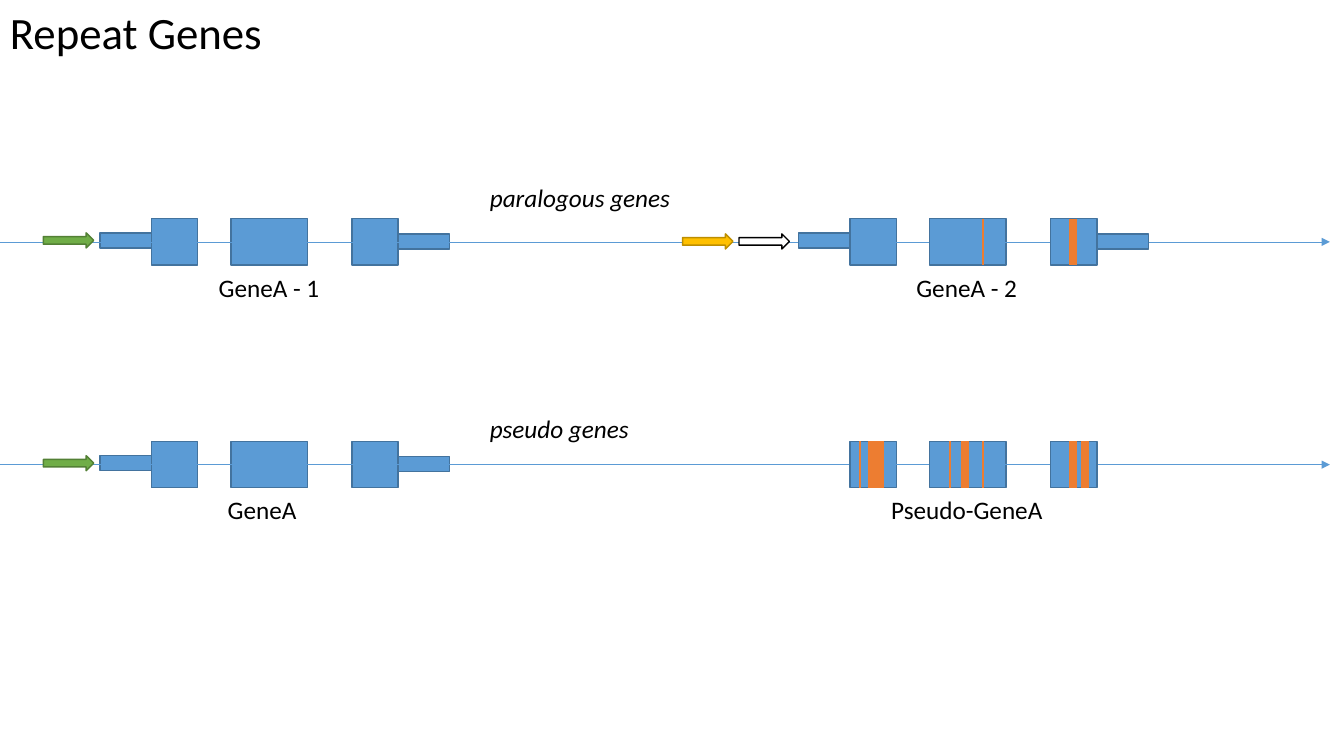
from dataclasses import dataclass

from lxml import etree
from pptx import Presentation
from pptx.dml.color import RGBColor
from pptx.enum.shapes import MSO_CONNECTOR, MSO_SHAPE
from pptx.enum.text import MSO_AUTO_SIZE
from pptx.oxml.ns import qn
from pptx.util import Inches, Pt

RECT = MSO_SHAPE.RECTANGLE
ARROW = MSO_SHAPE.RIGHT_ARROW
STRAIGHT = MSO_CONNECTOR.STRAIGHT
FIT_SHAPE = MSO_AUTO_SIZE.SHAPE_TO_FIT_TEXT
LEFT_SIDE = 1


@dataclass(frozen=True)
class Theme:
    """Colours, font and type sizes of the slide."""
    font: str = "Calibri"
    title: int = 32
    label: int = 18
    text: str = "000000"
    gene: tuple = ("5B9BD5", "43739E")
    mutation: str = "ED7D31"
    green: tuple = ("70AD47", "538035")
    yellow: tuple = ("FFC000", "BD8E00")
    white: tuple = ("FFFFFF", "000000")


THEME = Theme()
EXON_H, BAR_H, UTR_W, ARROW_W = 0.46, 0.15, 0.51, 0.5
EXONS = ((0.51, 0.46), (1.3, 0.76), (2.5, 0.46))
INTRONS = ((0.94, 1.6), (1.83, 2.5))
LEFT_GENE, RIGHT_GENE, AXIS_END = 0.99, 7.92, 13.19
THIN, THICK = 1.5, 6


def add_text(s, text, left, top, width, height, size, italic=False):
    """Add a one-line text box."""
    box = s.shapes.add_textbox(*map(Inches, (left, top, width, height)))
    tf = box.text_frame
    tf.text = text
    tf.word_wrap = False
    tf.auto_size = FIT_SHAPE
    font = tf.paragraphs[0].runs[0].font
    font.name, font.size = THEME.font, Pt(size)
    font.color.rgb = RGBColor.from_string(THEME.text)
    if italic:
        font.italic = True


def add_block(shapes, kind, left, top, width, height, colours):
    """Add a filled and outlined preset shape."""
    block = shapes.add_shape(kind, *map(Inches, (left, top, width, height)))
    fill, line = map(RGBColor.from_string, colours)
    block.shadow.inherit = False
    block.fill.solid()
    block.fill.fore_color.rgb = fill
    block.line.color.rgb = line
    block.line.width = Pt(1)
    return block


def add_line(shapes, x1, y1, x2, y2, colour, width):
    """Add a plain straight connector."""
    line = shapes.add_connector(STRAIGHT, *map(Inches, (x1, y1, x2, y2)))
    line.line.color.rgb = RGBColor.from_string(colour)
    line.line.width = Pt(width)
    etree.SubElement(line._element.spPr, qn("a:effectLst"))
    return line


def add_axis(s, y):
    """Draw the chromosome line with its arrowhead."""
    axis = add_line(s.shapes, 0, y, AXIS_END, y, THEME.gene[0], 0.5)
    etree.SubElement(axis.line._get_or_add_ln(), qn("a:tailEnd"), type="triangle")


def add_gene(s, left, y, has_utr=True):
    """Draw three exons joined by introns, with optional end regions."""
    shapes = s.shapes.add_group_shape().shapes
    if has_utr:
        add_block(shapes, RECT, left, y - 0.09, UTR_W, BAR_H, THEME.gene)
    for i, (x, width) in enumerate(EXONS):
        if i:
            start, end = INTRONS[i - 1]
            intron = add_line(shapes, left + start, y, left + end, y, THEME.gene[0], 0.5)
        exon = add_block(shapes, RECT, left + x, y - EXON_H / 2, width, EXON_H, THEME.gene)
    intron.end_connect(exon, LEFT_SIDE)
    if has_utr:
        add_block(shapes, RECT, left + x + width, y - 0.08, UTR_W, BAR_H, THEME.gene)


def add_row(s, y, names, note, has_utr, arrows, mutations):
    """Draw one chromosome with a gene pair around the axis height y."""
    add_gene(s, LEFT_GENE, y)
    add_axis(s, y)
    add_gene(s, RIGHT_GENE, y, has_utr)
    for text, left, width in names:
        add_text(s, text, left, y + 0.25, width, 0.4, THEME.label)
    for x, width in mutations:
        x += RIGHT_GENE
        add_line(s.shapes, x, y - EXON_H / 2, x, y + EXON_H / 2, THEME.mutation, width)
    for left, rise, colours in arrows:
        add_block(s.shapes, ARROW, left, y - rise, ARROW_W, BAR_H, colours)
    text, rise, width = note
    add_text(s, text, 4.76, y - rise, width, 0.4, THEME.label, italic=True)


def main():
    """Build and save the slide."""
    prs = Presentation()
    prs.slide_width, prs.slide_height = Inches(13.33), Inches(7.5)
    s = prs.slides.add_slide(prs.slide_layouts[6])
    add_text(s, "Repeat Genes", 0, 0, 2.72, 0.64, THEME.title)
    promoter = (0.43, 0.09, THEME.green)
    shared = [(1.83, THIN), (2.72, THICK)]
    add_row(s, 2.4, [("GeneA - 1", 2.07, 1.21), ("GeneA - 2", 8.99, 1.21)],
            ("paralogous genes", 0.64, 2.01), True,
            [promoter, (7.33, 0.08, THEME.white), (6.77, 0.08, THEME.yellow)], shared)
    add_row(s, 4.61, [("GeneA", 2.16, 0.89), ("Pseudo-GeneA", 8.74, 1.72)],
            ("pseudo genes", 0.56, 1.6), False, [promoter],
            shared + [(x, THICK) for x in (2.84, 1.65, 0.81, 0.73)]
            + [(x, THIN) for x in (1.5, 0.61)])
    prs.save("out.pptx")


if __name__ == "__main__":
    main()
